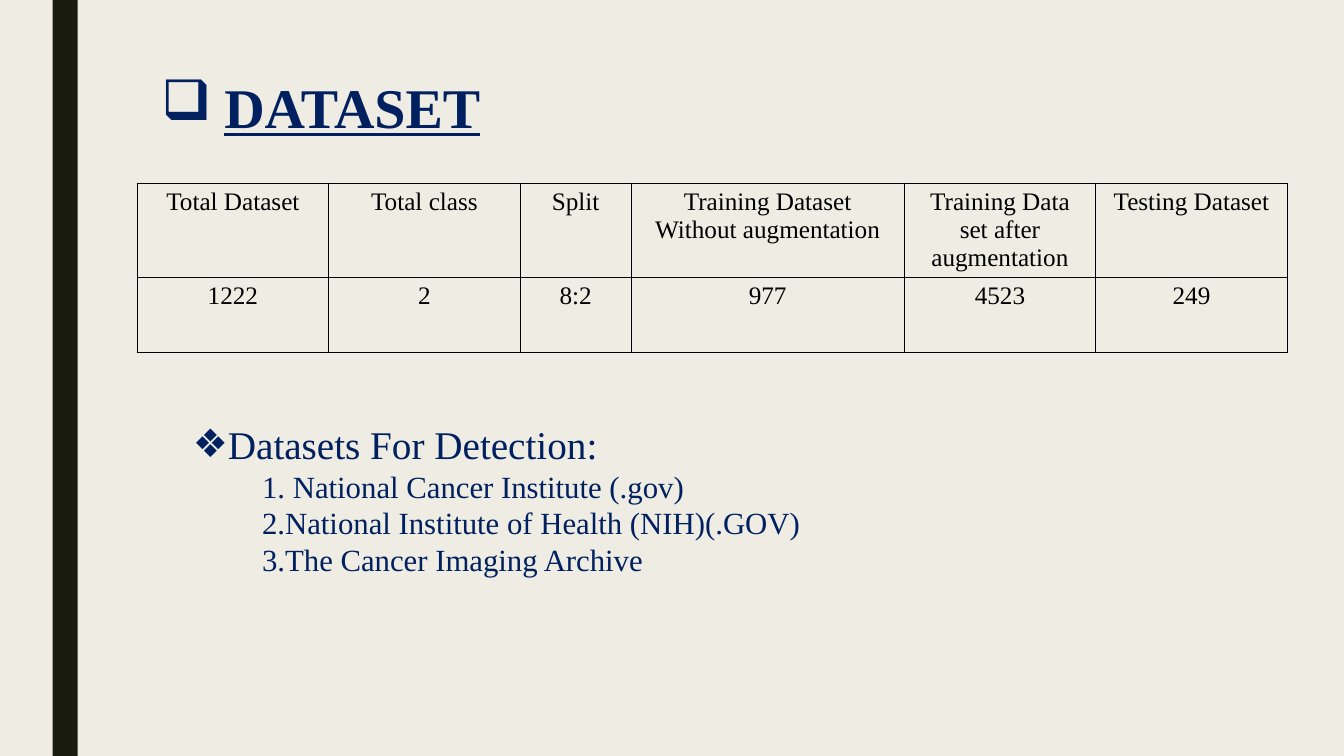
from lxml import etree
from pptx import Presentation
from pptx.dml.color import RGBColor
from pptx.enum.shapes import MSO_SHAPE
from pptx.enum.text import MSO_ANCHOR, MSO_AUTO_SIZE, PP_ALIGN
from pptx.oxml.ns import qn
from pptx.util import Pt

RECTANGLE = MSO_SHAPE.RECTANGLE
TOP = MSO_ANCHOR.TOP
FIXED_SIZE = MSO_AUTO_SIZE.NONE
LEFT = PP_ALIGN.LEFT
CENTER = PP_ALIGN.CENTER

COLORS = {
    "paper": "EFEDE3",
    "stripe": "191B0E",
    "navy": "002060",
    "black": "000000",
}
FONT = "Times New Roman"

COLUMN_WIDTHS = [136.8, 136.8, 79.2, 195.1, 136.8, 136.8]
ROW_HEIGHTS = [67, 54]
SPLIT_FIGURES = [
    ["Total Dataset", "Total class", "Split", "Training Dataset Without augmentation",
     "Training Data set after augmentation", "Testing Dataset"],
    ["1222", "2", "8:2", "977", "4523", "249"],
]
SOURCES = [
    "1. National Cancer Institute (.gov)",
    "2.National Institute of Health (NIH)(.GOV)",
    "3.The Cancer Imaging Archive",
]


class DatasetSlide:
    def __init__(self, deck):
        self.slide = deck.slides.add_slide(deck.slide_layouts[1])
        background = self.slide.background.fill
        background.solid()
        background.fore_color.rgb = self.color("paper")

    def color(self, name):
        return RGBColor.from_string(COLORS[name])

    def stripe(self, left, top, width, height):
        stripe = self.slide.shapes.add_shape(
            RECTANGLE, Pt(left), Pt(top), Pt(width), Pt(height))
        stripe.shadow.inherit = False
        stripe.fill.solid()
        stripe.fill.fore_color.rgb = self.color("stripe")
        stripe.line.fill.background()

    def format(self, paragraph, size, color, align=LEFT, bold=False, underline=False):
        paragraph.alignment = align
        for run in paragraph.runs:
            run.font.name = FONT
            run.font.size = Pt(size)
            run.font.bold = bold
            run.font.underline = underline
            run.font.color.rgb = self.color(color)

    def bullet(self, paragraph, margin, indent=0, symbol=None):
        properties = paragraph._p.get_or_add_pPr()
        properties.set("marL", str(Pt(margin)))
        properties.set("indent", str(Pt(indent)))
        if symbol:
            etree.SubElement(properties, qn("a:buChar"), char=symbol)
        else:
            etree.SubElement(properties, qn("a:buNone"))

    def place(self, holder, left, top, width, height):
        holder.left, holder.top = Pt(left), Pt(top)
        holder.width, holder.height = Pt(width), Pt(height)
        frame = holder.text_frame
        frame.word_wrap = True
        frame.auto_size = FIXED_SIZE
        frame.vertical_anchor = TOP
        return frame

    def title(self, heading, *box):
        frame = self.place(self.slide.shapes.title, *box)
        frame.text = heading
        paragraph = frame.paragraphs[0]
        paragraph.line_spacing = 0.89
        self.format(paragraph, 40, "navy", bold=True, underline=True)
        self.bullet(paragraph, 45, -45, "❑")

    def source_list(self, heading, sources, *box):
        frame = self.place(self.slide.placeholders[1], *box)
        frame.text = "\n".join([heading, *sources])
        for position, paragraph in enumerate(frame.paragraphs):
            paragraph.line_spacing = 1.0
            paragraph.space_before = Pt(0)
            if position == 0:
                self.format(paragraph, 28, "navy")
                self.bullet(paragraph, 22.5, -22.5, "❖")
            else:
                self.format(paragraph, 22, "navy")
                self.bullet(paragraph, 49.5)

    def border(self, cell):
        properties = cell._tc.get_or_add_tcPr()
        for position, side in enumerate(("lnL", "lnR", "lnT", "lnB")):
            line = etree.Element(qn(f"a:{side}"), w=str(Pt(1)))
            fill = etree.SubElement(line, qn("a:solidFill"))
            etree.SubElement(fill, qn("a:srgbClr"), val=COLORS["black"])
            properties.insert(position, line)

    def table(self, rows, widths, heights, left, top):
        table = self.slide.shapes.add_table(
            len(rows), len(widths), Pt(left), Pt(top),
            Pt(sum(widths)), Pt(sum(heights))).table
        table.first_row = False
        table.horz_banding = False
        for column, width in zip(table.columns, widths):
            column.width = Pt(width)
        for row, height, texts in zip(table.rows, heights, rows):
            row.height = Pt(height)
            for cell, text in zip(row.cells, texts):
                cell.text_frame.text = text
                cell.fill.background()
                self.format(cell.text_frame.paragraphs[0], 18, "black", CENTER)
                self.border(cell)


def main():
    deck = Presentation()
    deck.slide_width, deck.slide_height = Pt(960), Pt(540)
    dataset = DatasetSlide(deck)
    dataset.stripe(37.5, 0, 18, 540)
    dataset.title("DATASET", 108, 54, 299, 77)
    dataset.table(SPLIT_FIGURES, COLUMN_WIDTHS, ROW_HEIGHTS, 98, 131)
    dataset.source_list("Datasets For Detection:", SOURCES, 130.5, 296.5, 658, 121)
    deck.save("out.pptx")


if __name__ == "__main__":
    main()
